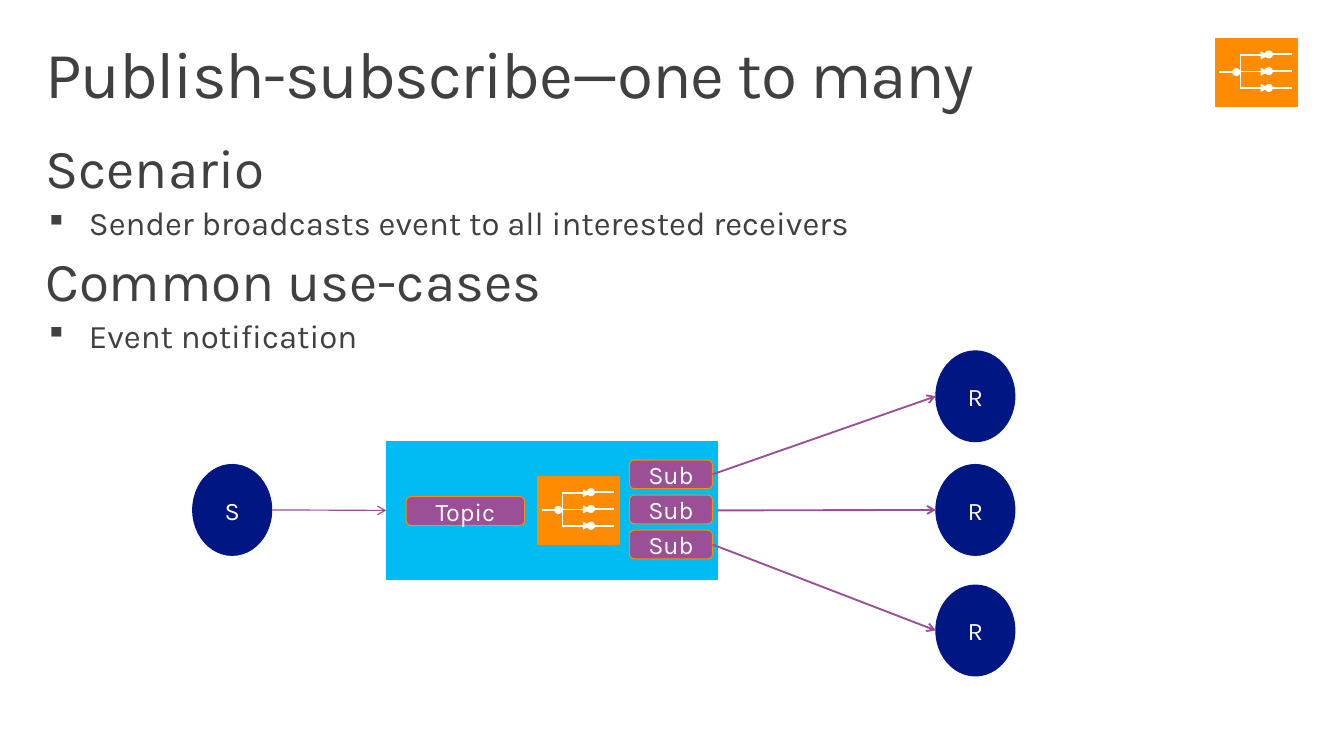
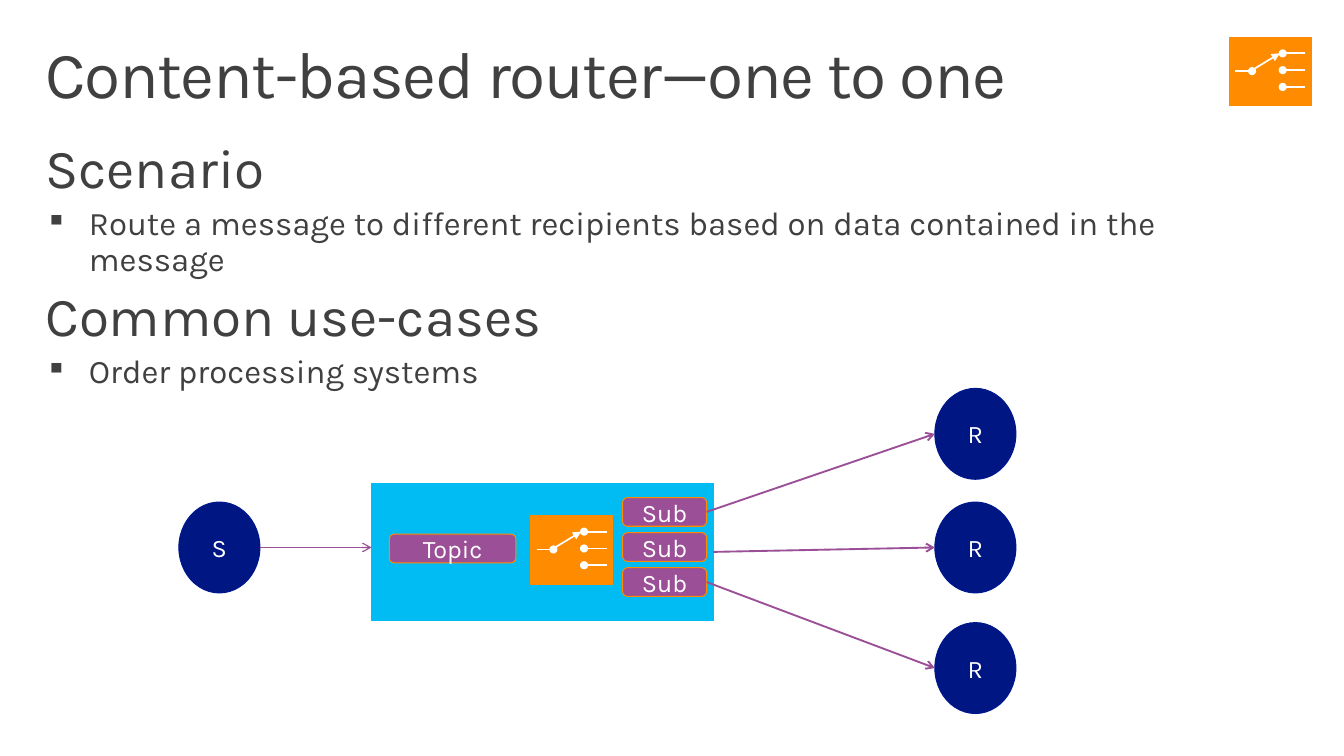
import dataclasses
import typing

import lxml.etree
import pptx
import pptx.dml.color
import pptx.enum.shapes
import pptx.enum.text
import pptx.oxml.ns
import pptx.util

KIND = pptx.enum.shapes.MSO_SHAPE
ALIGN = pptx.enum.text.PP_ALIGN
MID = pptx.enum.text.MSO_ANCHOR.MIDDLE
TOP = pptx.enum.text.MSO_ANCHOR.TOP
FIT = pptx.enum.text.MSO_AUTO_SIZE
RIGHT, LEFT = 3, 1


@dataclasses.dataclass(frozen=True)
class Theme:
    font: str = "Karla"
    ink: str = "404040"
    white: str = "FFFFFF"
    sky: str = "00BCF2"
    navy: str = "001682"
    edge: str = "00188F"
    plum: str = "9B4F96"
    gold: str = "FF8C00"
    title: float = 48
    head: float = 40
    point: float = 24
    label: float = 18.4
    thin: float = 0.75
    feed: float = 0.85
    wire: float = 1.35
    mark: float = 1.25


THEME = Theme()

# Grid: ten columns and ten rows to the inch
COLS, ROWS, CELL = 136, 76.5, 0.1


class Box(typing.NamedTuple):
    x: float
    y: float
    w: float
    h: float


class Stroke(typing.NamedTuple):
    x1: float
    y1: float
    x2: float
    y2: float
    tip: str = ""


class Span(typing.NamedTuple):
    x: float
    w: float


@dataclasses.dataclass(frozen=True)
class Page:
    title: str
    topics: tuple[tuple[str, str], ...]
    mid: float  # row of the sender's centre
    send: Span
    hub: Box
    topic: Span
    sub: Span
    take: Span
    glue: bool  # feed meets the middle of the hub's side
    icon: tuple[Stroke, ...]
    spots: tuple[tuple[float, float], ...]


# Icon strokes, in cells from the icon's corner
ICON_W, ICON_H = 8.3, 6.9
OUTS = tuple(Stroke(7.7, y, 5.4, y, "oval") for y in (1.6, 3.3, 5))
FAN = OUTS + (
    Stroke(0.4, 3.4, 2.1, 3.4, "oval"),
    *(Stroke(2.5, y, 5.4, y, "triangle") for y in (1.7, 3.35, 5)),
    Stroke(2.5, 1.7, 2.5, 5.1),
)
SWITCH = OUTS + (
    Stroke(0.6, 3.4, 2.3, 3.4, "oval"),
    Stroke(2.3, 3.3, 5.1, 1.6, "triangle"),
)

PAGES = (
    Page("Publish-subscribe—one to many",
         (("Scenario", "Sender broadcasts event to all interested receivers"),
          ("Common use-cases", "Event notification")),
         51.6, Span(19.5, 8), Box(39.1, 44.7, 33.5, 13.9), Span(41.1, 12),
         Span(63.7, 8.4), Span(94.7, 8), True, FAN,
         ((54.4, 48.2), (123, 3.9))),
    Page("Content-based router—one to one",
         (("Scenario", "Route a message to different recipients based on data "
           "contained in the message"),
          ("Common use-cases", "Order processing systems")),
         55.4, Span(18.1, 8.2), Box(37.6, 48.9, 34.6, 13.9), Span(39.4, 12.8),
         Span(63, 8.5), Span(94.6, 8.2), False, SWITCH,
         ((53.7, 52.2), (124.4, 3.8))),
)


def size(cells: float) -> int:
    return pptx.util.Inches(cells * CELL)


def tint(code: str) -> pptx.dml.color.RGBColor:
    return pptx.dml.color.RGBColor.from_string(code)


def node(root: typing.Any, tag: str, **attrs: str) -> None:
    lxml.etree.SubElement(root, pptx.oxml.ns.qn(tag), attrs)


def write(para: typing.Any, text: str, points: float, hue: str) -> typing.Any:
    run = para.add_run()
    run.text = text
    run.font.name = THEME.font
    run.font.size = pptx.util.Pt(points)
    run.font.color.rgb = tint(hue)
    return run


def pad(frame: typing.Any, side: float, edge: float) -> None:
    frame.word_wrap = True
    frame.margin_left = frame.margin_right = size(side)
    frame.margin_top = frame.margin_bottom = size(edge)


def block(shapes: typing.Any, kind: typing.Any, box: Box, fill: str,
          line: str, text: str = "") -> typing.Any:
    shape = shapes.add_shape(kind, *map(size, box))
    shape.shadow.inherit = False
    shape.fill.solid()
    shape.fill.fore_color.rgb = tint(fill)
    shape.line.color.rgb = tint(line)
    shape.line.width = pptx.util.Pt(THEME.thin)
    if text:
        frame = shape.text_frame
        pad(frame, 1.2, 0.6)
        frame.vertical_anchor = MID
        para = frame.paragraphs[0]
        para.alignment = ALIGN.CENTER
        write(para, text, THEME.label, THEME.white)
    return shape


def rule(shapes: typing.Any, stroke: Stroke, hue: str,
         points: float) -> typing.Any:
    line = shapes.add_connector(pptx.enum.shapes.MSO_CONNECTOR.STRAIGHT,
                                *map(size, stroke[:4]))
    line.line.color.rgb = tint(hue)
    line.line.width = pptx.util.Pt(points)
    if stroke.tip:
        node(line.line._get_or_add_ln(), "a:tailEnd", type=stroke.tip)
    node(line._element.spPr, "a:effectLst")
    return line


def draw_icon(slide: typing.Any, x: float, y: float,
              strokes: tuple[Stroke, ...]) -> None:
    shapes = slide.shapes.add_group_shape().shapes
    block(shapes, KIND.RECTANGLE, Box(x, y, ICON_W, ICON_H),
          THEME.gold, THEME.gold)
    for s in strokes:
        moved = Stroke(x + s.x1, y + s.y1, x + s.x2, y + s.y2, s.tip)
        rule(shapes, moved, THEME.white, THEME.mark if s.tip else 1)


def draw_title(slide: typing.Any, text: str) -> None:
    title = slide.shapes.title
    title.left, title.top, title.width, title.height = map(
        size, Box(3, 3.2, COLS - 6, 10))
    frame = title.text_frame
    pad(frame, 1.6, 1)
    frame.auto_size = FIT.NONE
    frame.vertical_anchor = TOP
    para = frame.paragraphs[0]
    para.alignment = ALIGN.LEFT
    para.line_spacing = 0.9
    run = write(para, text, THEME.title, THEME.ink)
    run.font._element.set("spc", "-100")


def draw_text(slide: typing.Any, topics: tuple[tuple[str, str], ...]) -> None:
    frame = slide.shapes.add_textbox(
        *map(size, Box(3, 13.3, COLS - 6, 28.8))).text_frame
    pad(frame, 1.6, 1)
    for rank, pair in enumerate(topics):
        for level, text in enumerate(pair):
            first = rank == level == 0
            para = frame.paragraphs[0] if first else frame.add_paragraph()
            points = (THEME.head, THEME.point)[level]
            para.level = level
            para.line_spacing = 0.9
            para.space_before = pptx.util.Pt(0.2 * points)
            write(para, text, points, THEME.ink)
            if level:
                add_dot(para)


def add_dot(para: typing.Any) -> None:
    props = para._p.get_or_add_pPr()
    props.set("marL", str(size(4.4)))
    props.set("indent", str(-size(4.4)))
    node(props, "a:buClr")
    node(props[-1], "a:srgbClr", val=THEME.ink)
    node(props, "a:buSzPct", val="90000")
    node(props, "a:buChar", char="▪")


def draw_flow(slide: typing.Any, page: Page) -> None:
    shapes, mid = slide.shapes, page.mid
    high, tab = 9.2, 2.9

    def disc(span: Span, y: float, text: str) -> None:
        block(shapes, KIND.OVAL, Box(span.x, y - high / 2, span.w, high),
              THEME.navy, THEME.edge, text)

    def label(span: Span, y: float, text: str) -> typing.Any:
        return block(shapes, KIND.ROUNDED_RECTANGLE,
                     Box(span.x, y - tab / 2, span.w, tab),
                     THEME.plum, THEME.gold, text)

    # Sender, hub and topic
    hub = block(shapes, KIND.RECTANGLE, page.hub, THEME.sky, THEME.sky)
    disc(page.send, mid, "S")
    feed = rule(shapes, Stroke(sum(page.send), mid, page.hub.x, mid, "arrow"),
                THEME.plum, THEME.feed)
    if page.glue:
        feed.end_connect(hub, LEFT)
    label(page.topic, mid + 0.1, "Topic")

    # Each sub with its receiver; the middle wire leaves the hub itself
    for step, drop in zip((-1, 0, 1), (-11.5, 0, 12.2)):
        sub = label(page.sub, mid - 0.05 + step * 3.55, "Sub")
        disc(page.take, mid + drop, "R")
        wire = rule(shapes, Stroke(sum(page.sub), mid, page.take.x,
                                   mid + drop, "arrow"),
                    THEME.plum, THEME.wire)
        wire.begin_connect(sub if step else hub, RIGHT)


def main() -> None:
    deck = pptx.Presentation()
    deck.slide_width, deck.slide_height = size(COLS), size(ROWS)
    for page in PAGES:
        slide = deck.slides.add_slide(
            deck.slide_layouts.get_by_name("Title Only"))
        draw_text(slide, page.topics)
        draw_title(slide, page.title)
        draw_flow(slide, page)
        for x, y in page.spots:
            draw_icon(slide, x, y, page.icon)
    deck.save("out.pptx")


if __name__ == "__main__":
    main()
